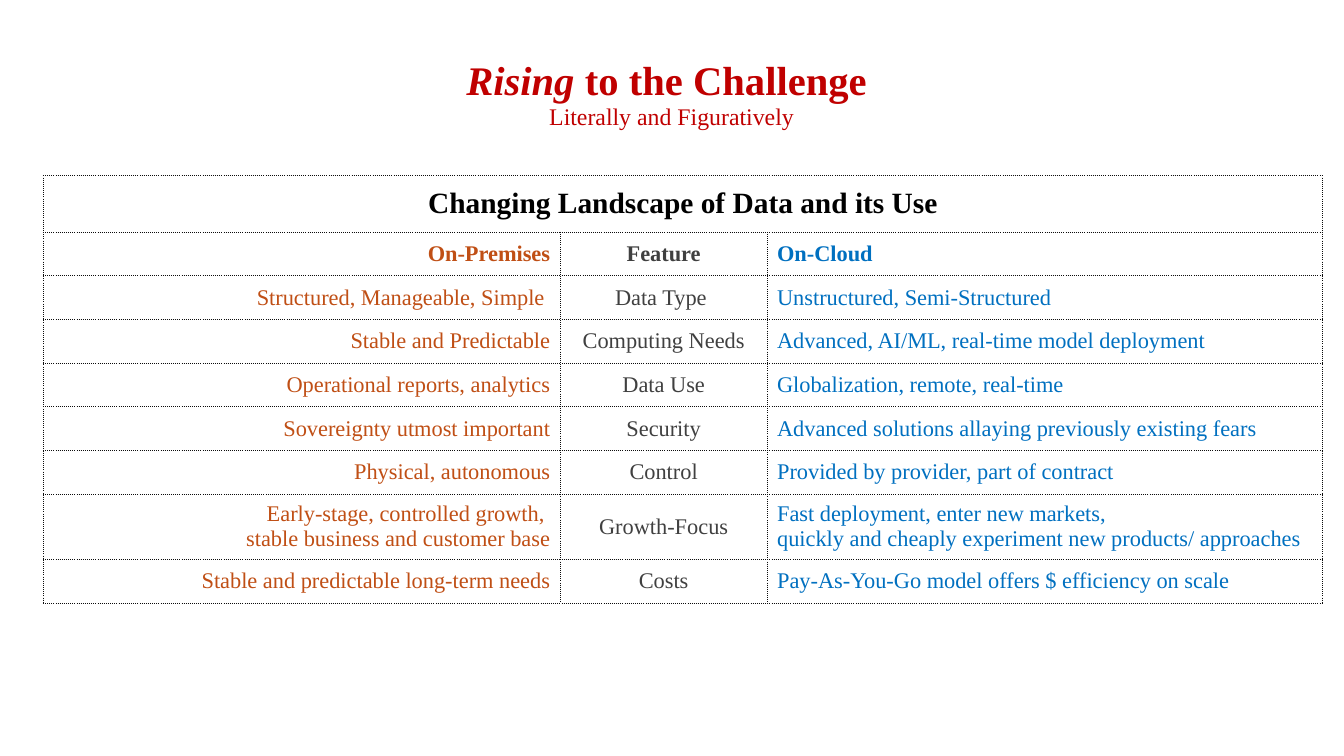
from lxml import etree
from pptx import Presentation
from pptx import util as u
from pptx.dml.color import RGBColor
from pptx.enum import text as t
from pptx.oxml import ns

FONT = "Times New Roman"
COLORS = {
    "title": "C00000",
    "heading": "000000",
    "premises": "C04F15",
    "feature": "404040",
    "cloud": "0070C0",
    "border": "0D0D0D",
}
LEFT, CENTER, RIGHT = t.PP_ALIGN.LEFT, t.PP_ALIGN.CENTER, t.PP_ALIGN.RIGHT

HEADING = "Changing Landscape of Data and its Use"
COLUMNS = [("premises", RIGHT, 13.03), ("feature", CENTER, 5.21), ("cloud", LEFT, 14)]
COMPARISON = [
    ("On-Premises", "Feature", "On-Cloud"),
    ("Structured, Manageable, Simple ", "Data Type ", "Unstructured, Semi-Structured"),
    ("Stable and Predictable", "Computing Needs",
     "Advanced, AI/ML, real-time model deployment"),
    ("Operational reports, analytics", "Data Use", "Globalization, remote, real-time"),
    ("Sovereignty utmost important", "Security",
     "Advanced solutions allaying previously existing fears"),
    ("Physical, autonomous", "Control", "Provided by provider, part of contract"),
    ("Early-stage, controlled growth, \nstable business and customer base", "Growth-Focus",
     "Fast deployment, enter new markets,\n"
     "quickly and cheaply experiment new products/ approaches"),
    ("Stable and predictable long-term needs", "Costs",
     "Pay-As-You-Go model offers $ efficiency on scale"),
]
HEADING_HEIGHT, LINE_HEIGHT, TWO_LINE_HEIGHT = 1.42, 1.1, 1.65


def add_run(paragraph, words, size, color, bold=False, italic=False):
    run = paragraph.add_run()
    run.text = words
    font = run.font
    font.name, font.size = FONT, u.Pt(size)
    font.bold, font.italic = bold, italic
    font.color.rgb = RGBColor.from_string(COLORS[color])


def add_title(slide):
    box = slide.shapes.add_textbox(u.Cm(8.56), u.Cm(1.09), u.Cm(16.74), u.Cm(2.64))
    frame = box.text_frame
    frame.word_wrap = True
    frame.vertical_anchor = t.MSO_ANCHOR.MIDDLE
    title, subtitle = frame.paragraphs[0], frame.add_paragraph()
    for paragraph in (title, subtitle):
        paragraph.alignment = CENTER
        paragraph.line_spacing = 0.9
    add_run(title, "Rising ", 29, "title", bold=True, italic=True)
    add_run(title, "to the Challenge ", 29, "title", bold=True)
    add_run(subtitle, "Literally and Figuratively", 17, "title")


def style_cell(cell):
    """Clear the fill and draw a dotted line on all four sides."""
    cell.fill.background()
    cell.vertical_anchor = t.MSO_ANCHOR.MIDDLE
    properties = cell._tc.get_or_add_tcPr()
    for place, side in enumerate(("a:lnL", "a:lnR", "a:lnT", "a:lnB")):
        line = etree.Element(ns.qn(side), w=str(u.Pt(0.5)))
        fill = etree.SubElement(line, ns.qn("a:solidFill"))
        etree.SubElement(fill, ns.qn("a:srgbClr"), val=COLORS["border"])
        etree.SubElement(line, ns.qn("a:prstDash"), val="sysDot")
        properties.insert(place, line)


def write_cell(cell, words, size, color, alignment, bold):
    frame = cell.text_frame
    for number, line in enumerate(words.split("\n")):
        paragraph = frame.add_paragraph() if number else frame.paragraphs[0]
        paragraph.alignment = alignment
        add_run(paragraph, line, size, color, bold)


def add_comparison(slide):
    heights = [HEADING_HEIGHT] + [
        TWO_LINE_HEIGHT if "\n" in row[0] else LINE_HEIGHT for row in COMPARISON]
    width = sum(column[2] for column in COLUMNS)
    table = slide.shapes.add_table(
        len(heights), len(COLUMNS), u.Cm(1.09), u.Cm(4.43),
        u.Cm(width), u.Cm(sum(heights))).table
    table.first_row = table.horz_banding = False

    # Grid
    for column, (_, _, column_width) in zip(table.columns, COLUMNS):
        column.width = u.Cm(column_width)
    for row, height in zip(table.rows, heights):
        row.height = u.Cm(height)
    for cell in table.iter_cells():
        style_cell(cell)

    # Heading across all columns
    table.cell(0, 0).merge(table.cell(0, len(COLUMNS) - 1))
    write_cell(table.cell(0, 0), HEADING, 21, "heading", CENTER, True)

    # Column names in bold, then the features
    for r, row in enumerate(COMPARISON, start=1):
        for c, (words, (color, alignment, _)) in enumerate(zip(row, COLUMNS)):
            write_cell(table.cell(r, c), words, 16, color, alignment, r == 1)


def main():
    deck = Presentation()
    deck.slide_width, deck.slide_height = u.Cm(33.87), u.Cm(19.05)
    slide = deck.slides.add_slide(deck.slide_layouts[6])
    add_title(slide)
    add_comparison(slide)
    deck.save("out.pptx")


if __name__ == "__main__":
    main()
